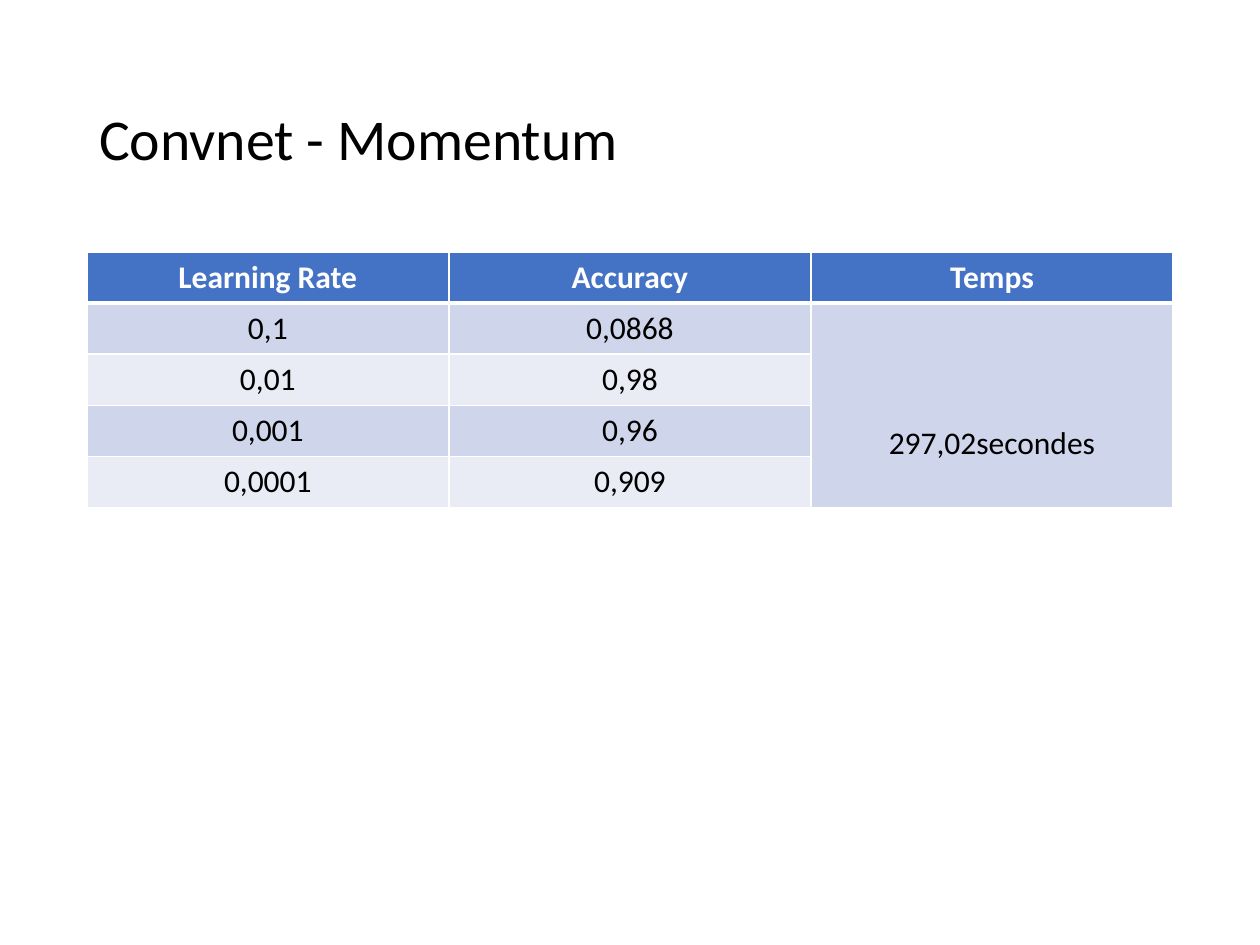
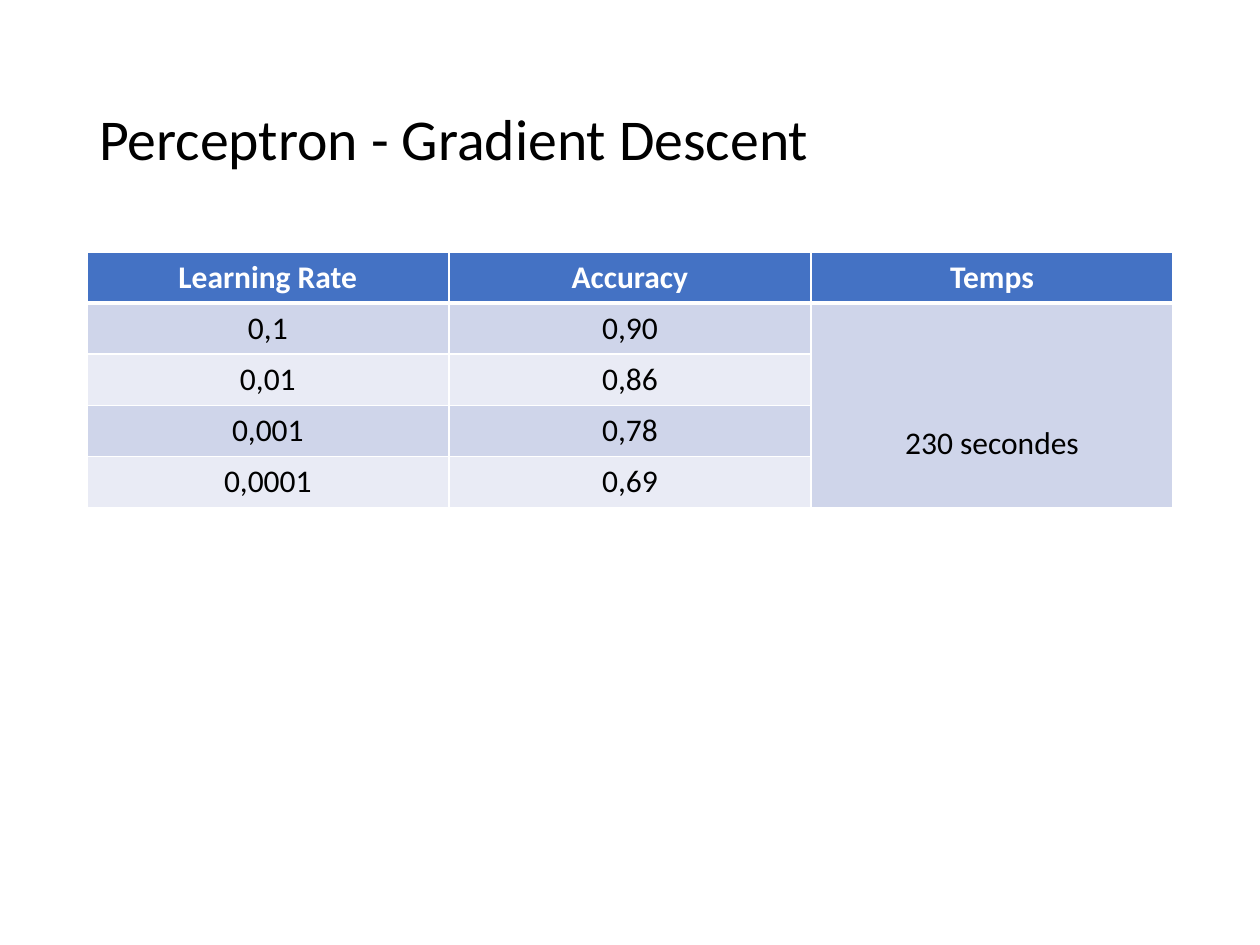
from pptx import Presentation
from pptx.dml.color import RGBColor
from pptx.enum.text import MSO_ANCHOR, PP_ALIGN
from pptx.oxml.ns import qn
from pptx.util import Cm, Pt
from lxml.etree import SubElement

HEADERS = ["Learning Rate", "Accuracy", "Temps"]
LEARNING_RATES = ["0,1", "0,01", "0,001", "0,0001"]
RESULTS = [
    {"title": "Convnet - Momentum",
     "accuracies": ["0,0868", "0,98", "0,96", "0,909"],
     "time": "297,02secondes"},
    {"title": "Perceptron - Gradient Descent",
     "accuracies": ["0,90", "0,86", "0,78", "0,69"],
     "time": "230 secondes"},
]

COLORS = {"text": "000000", "header_text": "FFFFFF", "border": "FFFFFF",
          "header": "4472C4", "odd_row": "CFD5EA", "even_row": "E9EBF5"}
FONT = "Calibri"
LEFT, WIDTH = Cm(1.75), Cm(21.9)
TITLE_TOP, TITLE_HEIGHT = Cm(1.01), Cm(3.68)
TABLE_TOP, ROW_HEIGHT = Cm(5.08), Cm(1.03)
TIME_TOP_MARGIN = Cm(2.45)
THIN, THICK = Pt(1), Pt(3)


def style_paragraph(para, size, color, bold=False):
    para.font.name = FONT
    para.font.size = Pt(size)
    para.font.bold = bold
    para.font.color.rgb = RGBColor.from_string(COLORS[color])


def add_title(page, text):
    box = page.shapes.add_textbox(LEFT, TITLE_TOP, WIDTH, TITLE_HEIGHT)
    frame = box.text_frame
    frame.word_wrap = True
    frame.vertical_anchor = MSO_ANCHOR.MIDDLE
    para = frame.paragraphs[0]
    para.text = text
    para.line_spacing = 0.9
    style_paragraph(para, 33, "text")


def set_borders(cell, row):
    """Draw white cell borders, thicker between the header and the body."""
    widths = {"L": THIN, "R": THIN,
              "T": THICK if row == 1 else THIN,
              "B": THICK if row == 0 else THIN}
    properties = cell._tc.get_or_add_tcPr()
    for side, width in widths.items():
        line = SubElement(properties, qn(f"a:ln{side}"), w=str(width))
        fill = SubElement(line, qn("a:solidFill"))
        SubElement(fill, qn("a:srgbClr"), val=COLORS["border"])


def fill_cell(cell, row, text):
    is_header = row == 0
    background = "header" if is_header else "odd_row" if row % 2 else "even_row"
    set_borders(cell, row)
    cell.fill.solid()
    cell.fill.fore_color.rgb = RGBColor.from_string(COLORS[background])
    para = cell.text_frame.paragraphs[0]
    para.text = text
    para.alignment = PP_ALIGN.CENTER
    style_paragraph(para, 18, "header_text" if is_header else "text", is_header)


def add_results_table(page, result):
    times = [result["time"]] + [""] * (len(LEARNING_RATES) - 1)
    rows = [HEADERS, *zip(LEARNING_RATES, result["accuracies"], times)]
    table = page.shapes.add_table(len(rows), len(HEADERS), LEFT, TABLE_TOP,
                                  WIDTH, ROW_HEIGHT * len(rows)).table
    for row, values in enumerate(rows):
        table.rows[row].height = ROW_HEIGHT
        for column, text in enumerate(values):
            fill_cell(table.cell(row, column), row, text)
    time_column = len(HEADERS) - 1
    time_cell = table.cell(1, time_column)
    time_cell.merge(table.cell(len(rows) - 1, time_column))
    time_cell.margin_top = TIME_TOP_MARGIN


def main():
    deck = Presentation()
    deck.slide_width, deck.slide_height = Cm(25.4), Cm(19.05)
    for result in RESULTS:
        page = deck.slides.add_slide(deck.slide_layouts[6])
        add_title(page, result["title"])
        add_results_table(page, result)
    deck.save("out.pptx")


if __name__ == "__main__":
    main()
